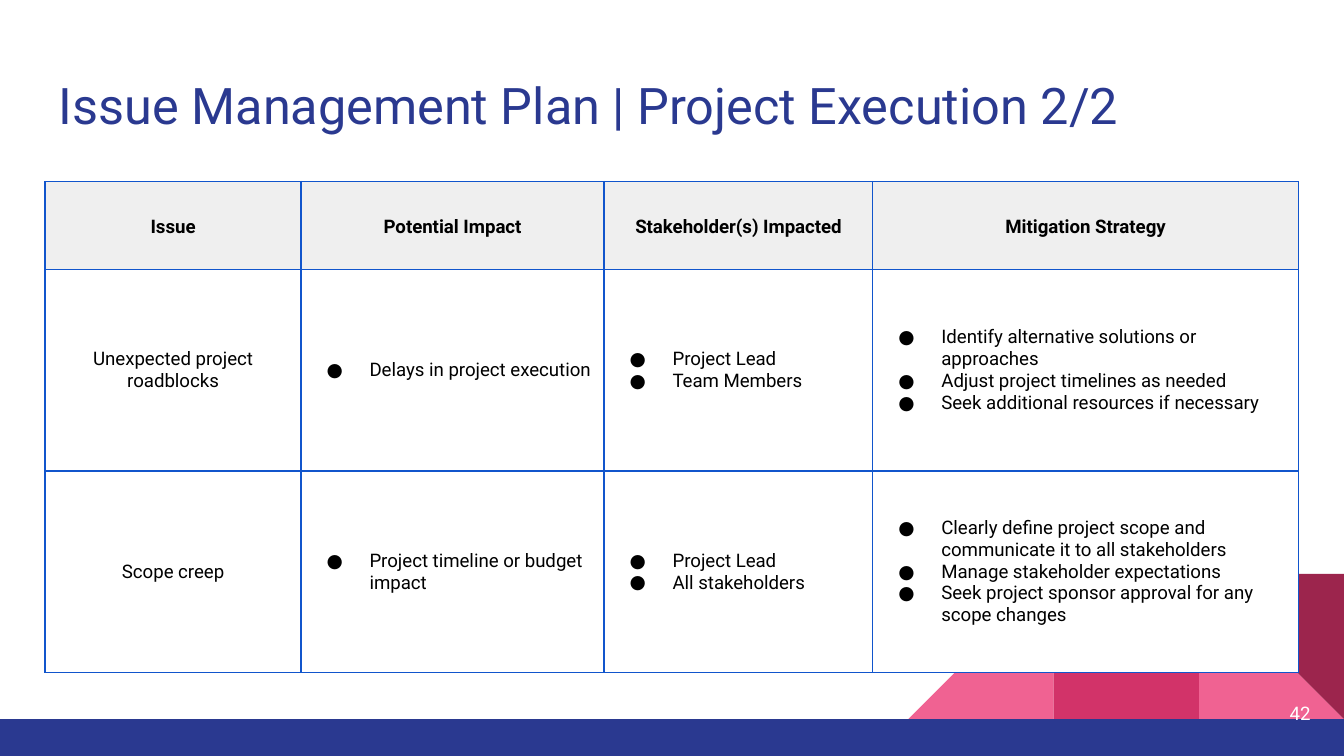
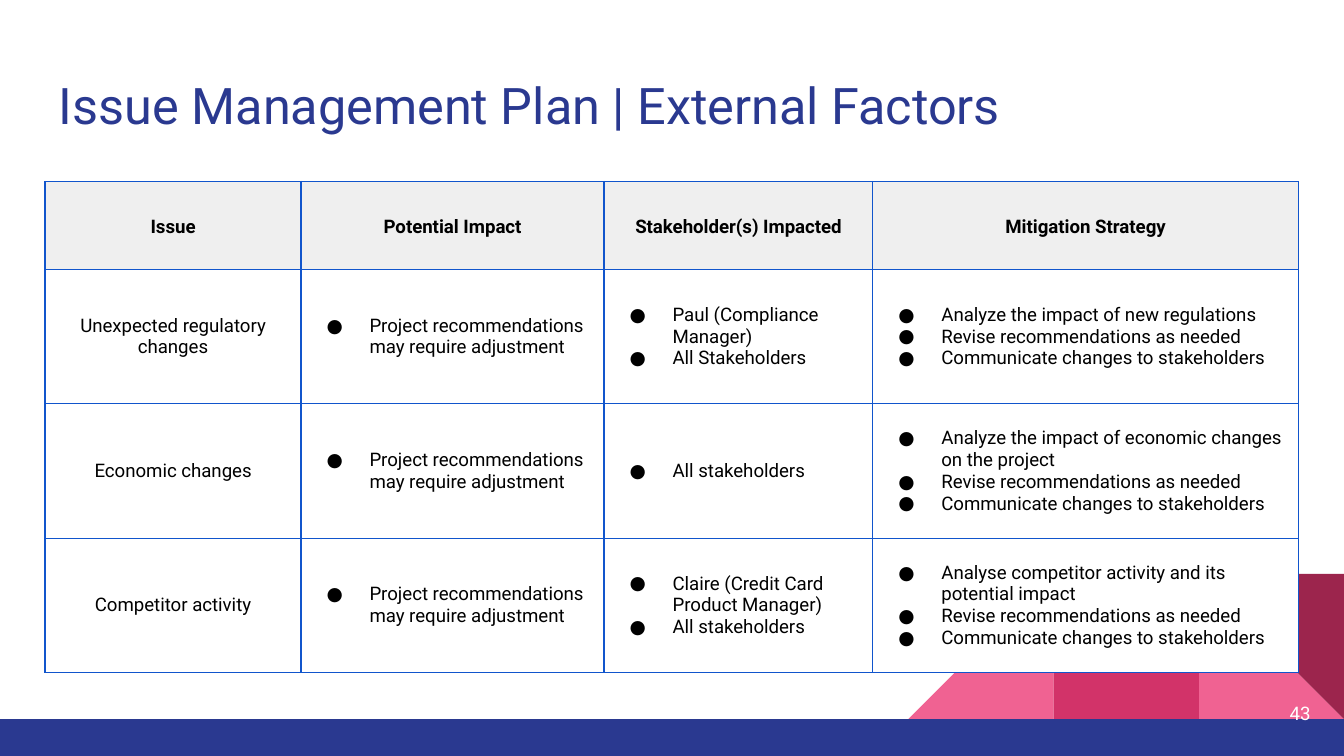
from dataclasses import dataclass

from lxml.etree import SubElement
from pptx import Presentation
from pptx.dml.color import RGBColor
from pptx.enum.shapes import MSO_SHAPE
from pptx.enum.text import MSO_ANCHOR, PP_ALIGN
from pptx.oxml.ns import qn
from pptx.util import Emu, Pt

FONT = "Roboto"
NAVY, PINK, ROSE, WINE = "2A3990", "F06292", "D23369", "9C254D"
BLACK, WHITE, HEADER_GREY, BORDER_BLUE = "000000", "FFFFFF", "EFEFEF", "1155CC"

HEADERS = ("Issue", "Potential Impact", "Stakeholder(s) Impacted", "Mitigation Strategy")
COLUMNS = (381, 451, 400, 633)
TABLE_LEFT, TABLE_TOP = 67, 270
HEADER_HEIGHT, BODY_HEIGHT = 131, 600
TILE = 216
TILE_TOP = 854


@dataclass(frozen=True)
class Block:
    kind: MSO_SHAPE
    left: int
    top: int
    width: int
    height: int
    color: str
    rotation: int = 0
    flipped: bool = False


@dataclass(frozen=True)
class Issue:
    name: str
    impacts: tuple[str, ...]
    stakeholders: tuple[str, ...]
    strategies: tuple[str, ...]


@dataclass(frozen=True)
class Plan:
    title: str
    number: int
    issues: tuple[Issue, ...]


def tile(kind: MSO_SHAPE, column: int, color: str, rotation: int = 0, flipped: bool = False) -> Block:
    left = 2000 - (3 - column) * TILE
    return Block(kind, left, TILE_TOP, TILE, TILE, color, rotation, flipped)


FOOTER = (
    tile(MSO_SHAPE.RIGHT_TRIANGLE, 2, PINK),
    tile(MSO_SHAPE.RIGHT_TRIANGLE, 0, PINK, flipped=True),
    tile(MSO_SHAPE.RECTANGLE, 1, ROSE),
    tile(MSO_SHAPE.RIGHT_TRIANGLE, 2, WINE, rotation=180),
    Block(MSO_SHAPE.RECTANGLE, 0, TILE_TOP + TILE, 2000, 55, NAVY),
)

ADJUSTMENT = ("Project recommendations may require adjustment",)
REVISE_AND_SHARE = ("Revise recommendations as needed", "Communicate changes to stakeholders")

PLANS = (
    Plan("Issue Management Plan | Project Execution 2/2", 42, (
        Issue(
            "Unexpected project roadblocks",
            ("Delays in project execution",),
            ("Project Lead", "Team Members"),
            ("Identify alternative solutions or approaches",
             "Adjust project timelines as needed",
             "Seek additional resources if necessary"),
        ),
        Issue(
            "Scope creep",
            ("Project timeline or budget impact",),
            ("Project Lead", "All stakeholders"),
            ("Clearly define project scope and communicate it to all stakeholders",
             "Manage stakeholder expectations",
             "Seek project sponsor approval for any scope changes"),
        ),
    )),
    Plan("Issue Management Plan | External Factors", 43, (
        Issue(
            "Unexpected regulatory changes",
            ADJUSTMENT,
            ("Paul (Compliance Manager)", "All Stakeholders"),
            ("Analyze the impact of new regulations", *REVISE_AND_SHARE),
        ),
        Issue(
            "Economic changes",
            ADJUSTMENT,
            ("All stakeholders",),
            ("Analyze the impact of economic changes on the project", *REVISE_AND_SHARE),
        ),
        Issue(
            "Competitor activity",
            ADJUSTMENT,
            ("Claire (Credit Card Product Manager)", "All stakeholders"),
            ("Analyse competitor activity and its potential impact", *REVISE_AND_SHARE),
        ),
    )),
)


def px(value: int) -> Emu:
    return Emu(value * 4572)


def rgb(value: str) -> RGBColor:
    return RGBColor.from_string(value)


def paint(target, color: str) -> None:
    target.fill.solid()
    target.fill.fore_color.rgb = rgb(color)


def set_margins(box, size: int) -> None:
    box.margin_left = box.margin_right = box.margin_top = box.margin_bottom = px(size)


def write(tf, lines: tuple[str, ...], size: int, color: str,
          align: PP_ALIGN = PP_ALIGN.LEFT, bold: bool = False) -> None:
    tf.text = "\n".join(lines)
    tf.word_wrap = True
    for p in tf.paragraphs:
        p.alignment = align
        for r in p.runs:
            r.font.name = FONT
            r.font.size = Pt(size)
            r.font.bold = bold
            r.font.color.rgb = rgb(color)


def add_block(slide, block: Block) -> None:
    s = slide.shapes.add_shape(block.kind, px(block.left), px(block.top), px(block.width), px(block.height))
    paint(s, block.color)
    s.line.fill.background()
    s.shadow.inherit = False
    s.rotation = block.rotation
    if block.flipped:
        s._element.spPr.find(qn("a:xfrm")).set("flipH", "1")


def add_text(slide, text: str, left: int, top: int, width: int, height: int, size: int, color: str,
             align: PP_ALIGN = PP_ALIGN.LEFT, anchor: MSO_ANCHOR = MSO_ANCHOR.TOP) -> None:
    tf = slide.shapes.add_textbox(px(left), px(top), px(width), px(height)).text_frame
    set_margins(tf, 20)
    tf.vertical_anchor = anchor
    write(tf, (text,), size, color, align)


def add_bullet(p) -> None:
    props = p._p.get_or_add_pPr()
    props.set("marL", str(px(100)))
    props.set("indent", str(px(-64)))
    SubElement(SubElement(props, qn("a:buClr")), qn("a:srgbClr"), val=BLACK)
    SubElement(props, qn("a:buFont"), typeface=FONT)
    SubElement(props, qn("a:buChar"), char="●")


def style_cell(cell, color: str, margin: int) -> None:
    props = cell._tc.get_or_add_tcPr()
    for side in ("lnL", "lnR", "lnT", "lnB"):
        line = SubElement(props, qn(f"a:{side}"), w=str(Pt(0.75)))
        SubElement(SubElement(line, qn("a:solidFill")), qn("a:srgbClr"), val=BORDER_BLUE)
    paint(cell, color)
    set_margins(cell, margin)
    cell.vertical_anchor = MSO_ANCHOR.MIDDLE


def add_issue_table(slide, issues: tuple[Issue, ...]) -> None:
    table = slide.shapes.add_table(
        len(issues) + 1, len(HEADERS), px(TABLE_LEFT), px(TABLE_TOP),
        px(sum(COLUMNS)), px(HEADER_HEIGHT + BODY_HEIGHT),
    ).table
    table.first_row = table.horz_banding = False
    for column, width in zip(table.columns, COLUMNS):
        column.width = px(width)
    for row in table.rows:
        row.height = px(BODY_HEIGHT // len(issues))
    table.rows[0].height = px(HEADER_HEIGHT)

    for column, header in enumerate(HEADERS):
        cell = table.cell(0, column)
        style_cell(cell, HEADER_GREY, 20)
        write(cell.text_frame, (header,), 10, BLACK, PP_ALIGN.CENTER, bold=True)
        p = cell.text_frame.paragraphs[0]
        p.line_spacing = 1.15
        p.space_before = Pt(12)

    for row, issue in enumerate(issues, 1):
        entries = ((issue.name,), issue.impacts, issue.stakeholders, issue.strategies)
        for column, lines in enumerate(entries):
            cell = table.cell(row, column)
            style_cell(cell, WHITE, 2)
            write(cell.text_frame, lines, 10, BLACK, PP_ALIGN.LEFT if column else PP_ALIGN.CENTER)
            if column:
                for p in cell.text_frame.paragraphs:
                    add_bullet(p)


def add_plan(prs, plan: Plan) -> None:
    slide = prs.slides.add_slide(prs.slide_layouts[6])
    for block in FOOTER:
        add_block(slide, block)
    add_text(slide, plan.title, 68, 90, 1864, 132, 27, NAVY)
    add_text(slide, str(plan.number), 1850, 1018, 120, 86, 10, WHITE, PP_ALIGN.RIGHT, MSO_ANCHOR.MIDDLE)
    add_issue_table(slide, plan.issues)


def main() -> None:
    prs = Presentation()
    prs.slide_width, prs.slide_height = px(2000), px(1125)
    for plan in PLANS:
        add_plan(prs, plan)
    prs.save("out.pptx")


if __name__ == "__main__":
    main()
